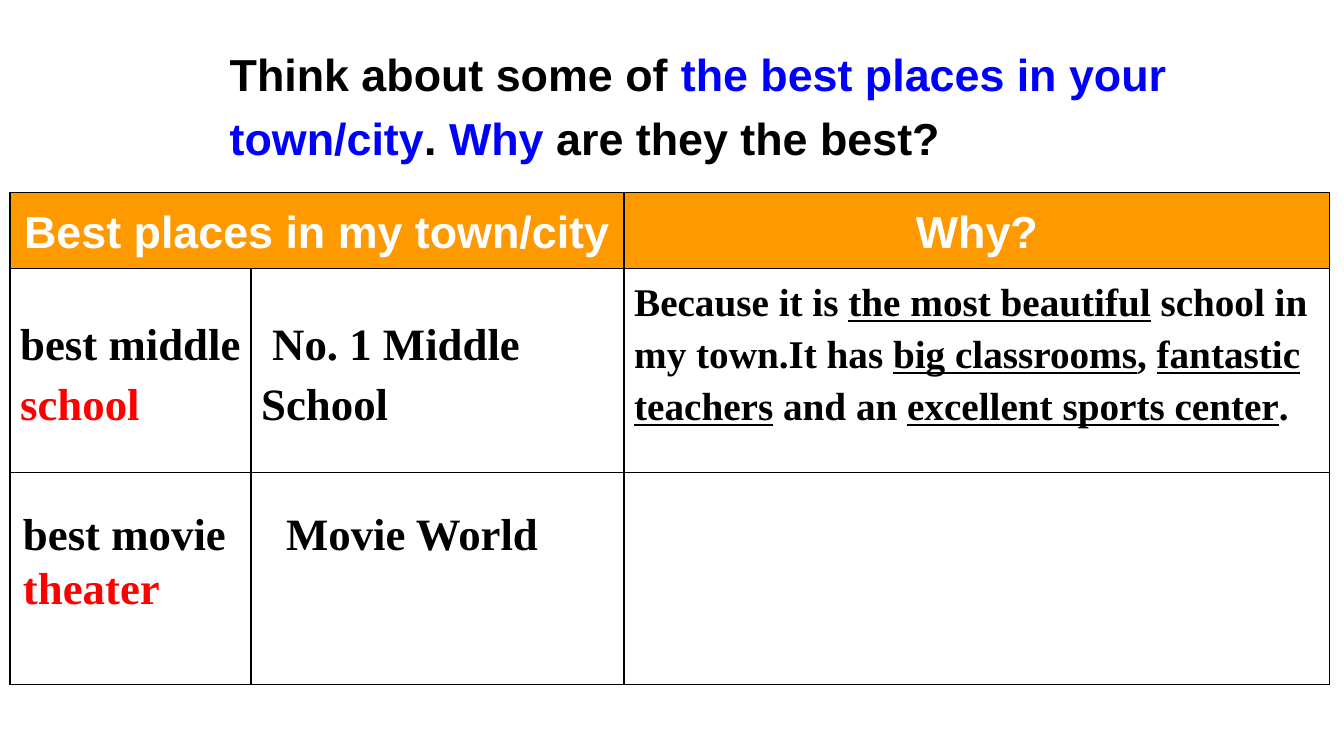
from dataclasses import dataclass

from lxml.etree import SubElement
from pptx import Presentation
from pptx.dml.color import RGBColor
from pptx.enum.text import MSO_ANCHOR, PP_ALIGN
from pptx.oxml import parse_xml
from pptx.oxml.ns import nsdecls, qn
from pptx.util import Inches, Pt


@dataclass(frozen=True)
class Theme:
    black: str = "000000"
    white: str = "FFFFFF"
    blue: str = "0000FF"
    red: str = "FF0000"
    orange: str = "FF9900"
    sans: str = "Arial"
    serif: str = "Times New Roman"
    large: int = 32
    reason: int = 28
    border: float = 1
    leading: float = 1.2


THEME = Theme()


def write(paragraph, pieces, font, size=THEME.large, color=THEME.black):
    """Add bold runs; each piece is (text,), (text, color) or (text, color, underlined)."""
    for text, *look in pieces:
        run = paragraph.add_run()
        run.text = text
        run.font.name = font
        run.font.size = Pt(size)
        run.font.bold = True
        run.font.color.rgb = RGBColor.from_string(look[0] if look else color)
        if len(look) > 1:
            run.font.underline = look[1]


def add_text(slide, box, pieces, font, anchor=MSO_ANCHOR.TOP, leading=1.0):
    frame = slide.shapes.add_textbox(*map(Inches, box)).text_frame
    frame.word_wrap = True
    frame.vertical_anchor = anchor
    frame.paragraphs[0].line_spacing = leading
    write(frame.paragraphs[0], pieces, font)


def style_cell(cell, fill):
    cell.fill.solid()
    cell.fill.fore_color.rgb = RGBColor.from_string(fill)
    properties = cell._tc.get_or_add_tcPr()
    for position, side in enumerate(("lnL", "lnR", "lnT", "lnB")):
        line = parse_xml(f'<a:{side} {nsdecls("a")} w="{Pt(THEME.border)}"/>')
        paint = SubElement(line, qn("a:solidFill"))
        SubElement(paint, qn("a:srgbClr"), val=THEME.black)
        properties.insert(position, line)


def fill_cell(cell, pieces, font, align=PP_ALIGN.LEFT, anchor=MSO_ANCHOR.TOP,
              indent=0, **look):
    cell.vertical_anchor = anchor
    paragraph = cell.text_frame.paragraphs[0]
    paragraph.alignment = align
    paragraph.line_spacing = THEME.leading
    if indent:
        paragraph._p.get_or_add_pPr().set("indent", str(Inches(indent)))
    write(paragraph, pieces, font, **look)


def add_places_table(slide):
    widths, heights = (2.39, 3.7, 7), (0.75, 2.03, 2.1)
    table = slide.shapes.add_table(
        len(heights), len(widths), Inches(0.1), Inches(1.91),
        Inches(sum(widths)), Inches(sum(heights))).table
    table.first_row = table.horz_banding = False
    for column, width in zip(table.columns, widths):
        column.width = Inches(width)
    for index, (row, height) in enumerate(zip(table.rows, heights)):
        row.height = Inches(height)
        for cell in row.cells:
            style_cell(cell, THEME.white if index else THEME.orange)
    table.cell(0, 0).merge(table.cell(0, 1))

    for column, heading in ((0, "Best places in my town/city"), (2, "Why?")):
        fill_cell(table.cell(0, column), [(heading,)], THEME.sans,
                  PP_ALIGN.CENTER, color=THEME.white)
    fill_cell(table.cell(1, 0), [("best middle ",), ("school", THEME.red)],
              THEME.serif, anchor=MSO_ANCHOR.MIDDLE)
    fill_cell(table.cell(1, 1), [("No. 1 Middle School",)], THEME.serif,
              anchor=MSO_ANCHOR.MIDDLE, indent=0.11)
    reasons = ("Because it is ", "the most beautiful", " school in my town.It has ",
               "big classrooms", ", ", "fantastic teachers", " and an ",
               "excellent sports center", ".")
    fill_cell(table.cell(1, 2),
              [(text, THEME.black, index % 2 == 1) for index, text in enumerate(reasons)],
              THEME.serif, size=THEME.reason)


def main():
    deck = Presentation()
    deck.slide_width, deck.slide_height = Inches(13.33), Inches(7.5)
    slide = deck.slides.add_slide(deck.slide_layouts[6])
    add_places_table(slide)
    add_text(slide, (2.18, 0.13, 9.77, 1.73),
             [("Think about some of ",),
              ("the best places in your town/city", THEME.blue), (". ",),
              ("Why", THEME.blue), (" are they the best?",)],
             THEME.sans, MSO_ANCHOR.MIDDLE, THEME.leading)
    add_text(slide, (0.13, 4.97, 2.67, 1.18),
             [("best movie ",), ("theater", THEME.red)], THEME.serif)
    add_text(slide, (2.74, 4.97, 2.76, 0.64), [("Movie World",)], THEME.serif)
    deck.save("out.pptx")


if __name__ == "__main__":
    main()
